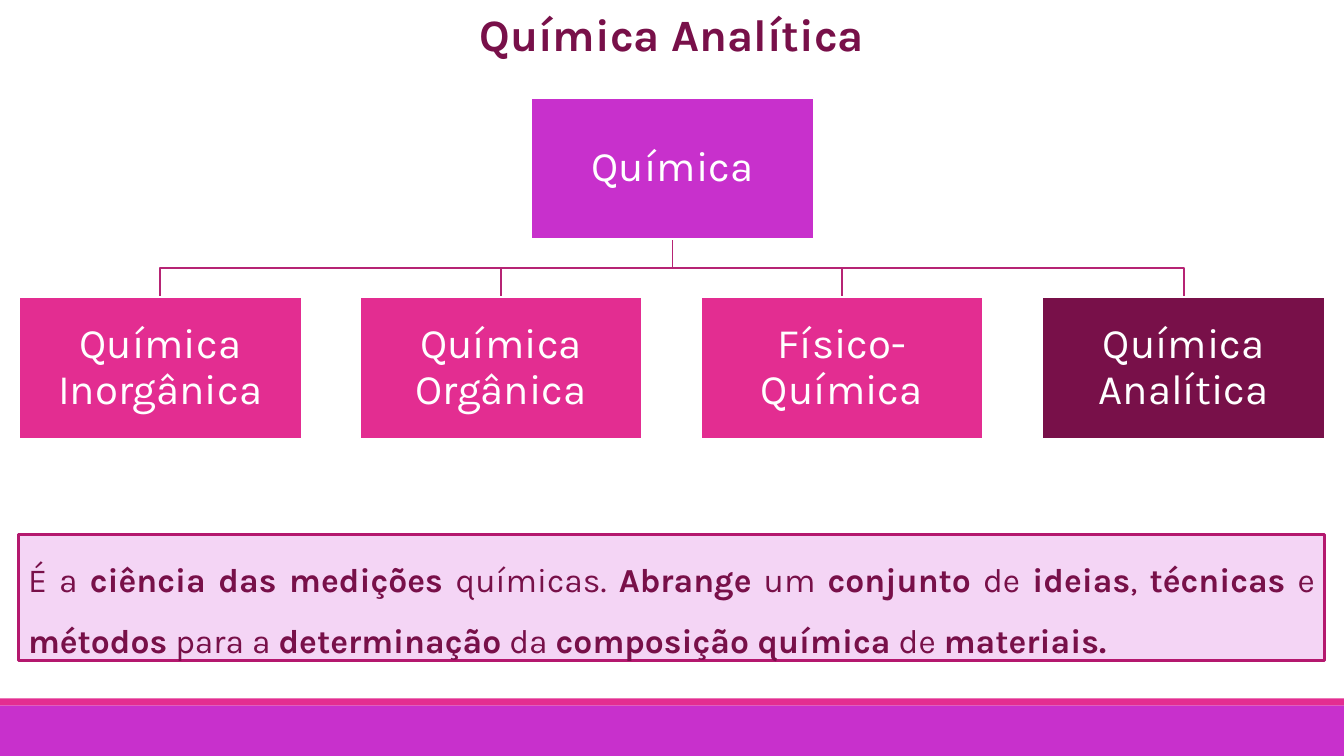
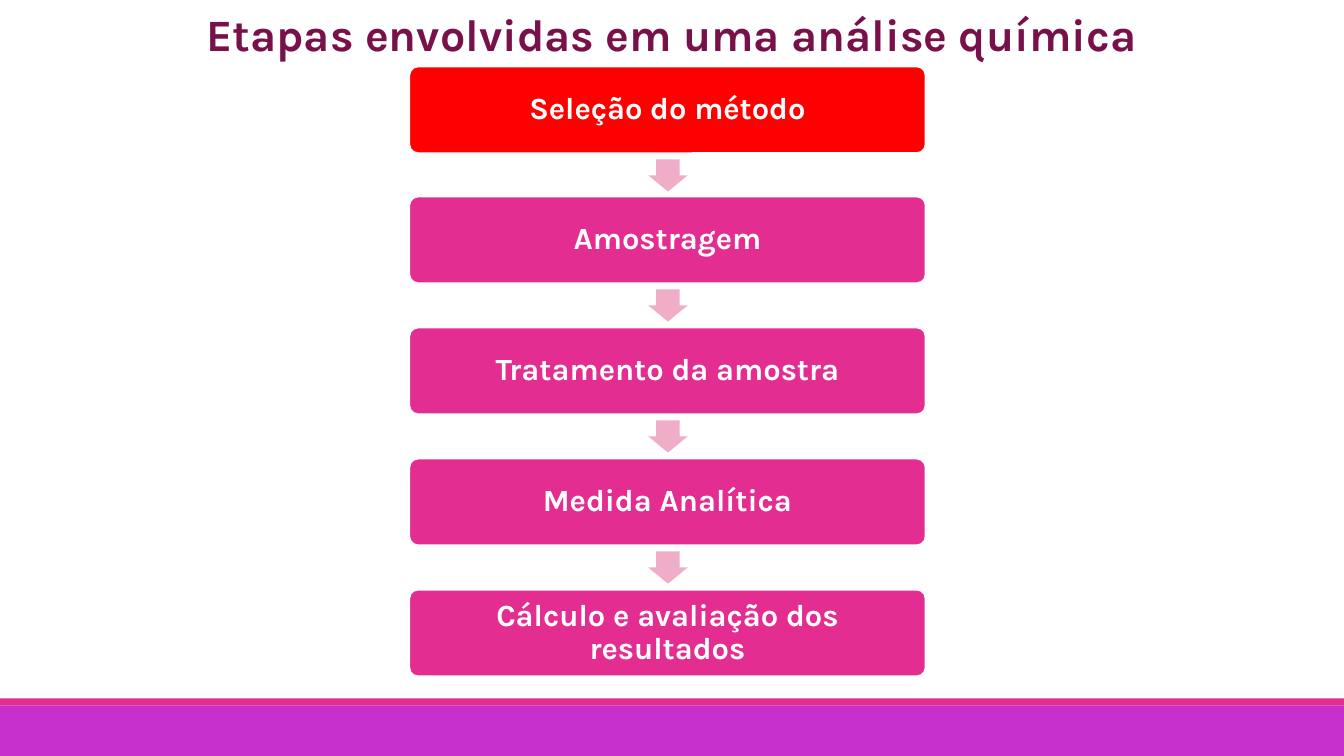
from dataclasses import dataclass
from typing import NamedTuple

from pptx import Presentation
from pptx.dml.color import RGBColor as Rgb
from pptx.enum.shapes import MSO_SHAPE as Preset
from pptx.enum.text import MSO_ANCHOR as Anchor, MSO_AUTO_SIZE as AutoSize, PP_ALIGN as Align
from pptx.util import Emu, Pt

EMU_PER_PX = 9144
SLIDE_WIDTH, SLIDE_HEIGHT = 1333, 750


@dataclass(frozen=True)
class Theme:
    font: str = "Karla"
    purple: str = "C830CC"
    pink: str = "E32D91"
    wine: str = "781049"
    red: str = "FF0000"
    white: str = "FFFFFF"
    arrow: str = "EFADC7"
    branch: str = "B62474"
    panel: str = "F4D5F5"
    panel_border: str = "B4186E"
    title_size: int = 32
    node_size: int = 30
    definition_size: int = 24
    step_size: int = 22
    line: float = 1.25
    panel_line: float = 2


THEME = Theme()


class Box(NamedTuple):
    left: int
    top: int
    width: int
    height: int

    @property
    def center(self) -> int:
        return self.left + self.width // 2

    @property
    def bottom(self) -> int:
        return self.top + self.height


class Label(NamedTuple):
    text: str
    fill: str


class LabelStyle(NamedTuple):
    preset: Preset
    size: int
    bold: bool
    inset: int


NODE = LabelStyle(Preset.RECTANGLE, THEME.node_size, False, 2)
STEP = LabelStyle(Preset.ROUNDED_RECTANGLE, THEME.step_size, True, 9)

ROOT = Label("Química", THEME.purple)
FIELDS = [
    Label("Química Inorgânica", THEME.pink),
    Label("Química Orgânica", THEME.pink),
    Label("Físico-Química", THEME.pink),
    Label("Química Analítica", THEME.wine),
]
STEPS = [
    Label("Seleção do método", THEME.red),
    Label("Amostragem", THEME.pink),
    Label("Tratamento da amostra", THEME.pink),
    Label("Medida Analítica", THEME.pink),
    Label("Cálculo e avaliação dos resultados", THEME.pink),
]
DEFINITION = (
    "É a *ciência das medições *químicas. *Abrange* um *conjunto* de *ideias*, "
    "*técnicas* e *métodos* para a *determinação* da *composição química* de *materiais.*"
)


def px(length: int) -> Emu:
    return Emu(length * EMU_PER_PX)


def color(value: str) -> Rgb:
    return Rgb.from_string(value)


def style_run(run, size: int, value: str, bold: bool) -> None:
    run.font.name = THEME.font
    run.font.size = Pt(size)
    run.font.bold = bold
    run.font.color.rgb = color(value)


def set_outline(shape, value: str, width: float) -> None:
    shape.line.color.rgb = color(value)
    shape.line.width = Pt(width)


def add_filled(slide, preset: Preset, box: Box, fill: str):
    shape = slide.shapes.add_shape(preset, *map(px, box))
    shape.shadow.inherit = False
    shape.fill.solid()
    shape.fill.fore_color.rgb = color(fill)
    shape.line.fill.background()
    return shape


def add_label(slide, label: Label, box: Box, style: LabelStyle) -> None:
    shape = add_filled(slide, style.preset, box, label.fill)
    set_outline(shape, THEME.white, THEME.line)
    if style.preset == Preset.ROUNDED_RECTANGLE:
        shape.adjustments[0] = 0.1
    frame = shape.text_frame
    frame.text = label.text
    frame.word_wrap = True
    frame.vertical_anchor = Anchor.MIDDLE
    frame.margin_left = frame.margin_right = px(style.inset)
    frame.margin_top = frame.margin_bottom = px(style.inset)
    paragraph = frame.paragraphs[0]
    paragraph.alignment = Align.CENTER
    paragraph.line_spacing = 0.9
    style_run(paragraph.runs[0], style.size, THEME.white, style.bold)


def add_branch(slide, parent: Box, child: Box) -> None:
    middle = (parent.bottom + child.top) // 2
    builder = slide.shapes.build_freeform(parent.center, parent.bottom, scale=EMU_PER_PX)
    builder.add_line_segments(
        [(parent.center, middle), (child.center, middle), (child.center, child.top)],
        close=False,
    )
    branch = builder.convert_to_shape()
    branch.shadow.inherit = False
    branch.fill.background()
    set_outline(branch, THEME.branch, THEME.line)


def add_definition(slide, box: Box) -> None:
    panel = add_filled(slide, Preset.RECTANGLE, box, THEME.panel)
    set_outline(panel, THEME.panel_border, THEME.panel_line)
    frame = panel.text_frame
    frame.word_wrap = True
    frame.vertical_anchor = Anchor.TOP
    paragraph = frame.paragraphs[0]
    paragraph.alignment = Align.JUSTIFY
    paragraph.line_spacing = 1.5
    for index, part in enumerate(DEFINITION.split("*")):
        if part:
            run = paragraph.add_run()
            run.text = part
            style_run(run, THEME.definition_size, THEME.wine, index % 2 == 1)


def add_titled_slide(deck, heading: str):
    slide = deck.slides.add_slide(deck.slide_layouts[5])
    title = slide.shapes.title
    title.left, title.top, title.width, title.height = map(px, Box(0, 2, SLIDE_WIDTH, 64))
    frame = title.text_frame
    frame.text = heading
    frame.auto_size = AutoSize.NONE
    frame.vertical_anchor = Anchor.TOP
    paragraph = frame.paragraphs[0]
    paragraph.alignment = Align.CENTER
    style_run(paragraph.runs[0], THEME.title_size, THEME.wine, True)
    return slide


def add_master_bands(deck, slide) -> None:
    master_tree = deck.slide_master.shapes.element
    for box, fill in (
        (Box(0, 700, SLIDE_WIDTH, 50), THEME.purple),
        (Box(0, 693, SLIDE_WIDTH, 7), THEME.pink),
    ):
        band = add_filled(slide, Preset.RECTANGLE, box, fill)
        master_tree.insert(2, band.element)


def draw_fields(slide) -> None:
    root = Box(527, 97, 280, 140)
    first_left, last_left = 19, 1034
    gaps = len(FIELDS) - 1
    boxes = [
        Box(first_left + (last_left - first_left) * index // gaps, 295, 280, 140)
        for index in range(len(FIELDS))
    ]
    for box in boxes:
        add_branch(slide, root, box)
    add_label(slide, ROOT, root, NODE)
    for field, box in zip(FIELDS, boxes):
        add_label(slide, field, box, NODE)
    add_definition(slide, Box(18, 530, 1296, 125))


def draw_steps(slide) -> None:
    first_top, last_top = 66, 585
    gaps = len(STEPS) - 1
    for index, step in enumerate(STEPS):
        box = Box(406, first_top + (last_top - first_top) * index // gaps, 512, 86)
        add_label(slide, step, box, STEP)
        if index < gaps:
            arrow_box = Box(box.center - 19, box.bottom + 6, 39, 32)
            arrow = add_filled(slide, Preset.DOWN_ARROW, arrow_box, THEME.arrow)
            arrow.adjustments[0] = 0.6
            arrow.adjustments[1] = 0.5


def main() -> None:
    deck = Presentation()
    deck.slide_width, deck.slide_height = px(SLIDE_WIDTH), px(SLIDE_HEIGHT)
    fields_slide = add_titled_slide(deck, "Química Analítica")
    add_master_bands(deck, fields_slide)
    draw_fields(fields_slide)
    draw_steps(add_titled_slide(deck, "Etapas envolvidas em uma análise química"))
    deck.save("out.pptx")


if __name__ == "__main__":
    main()
